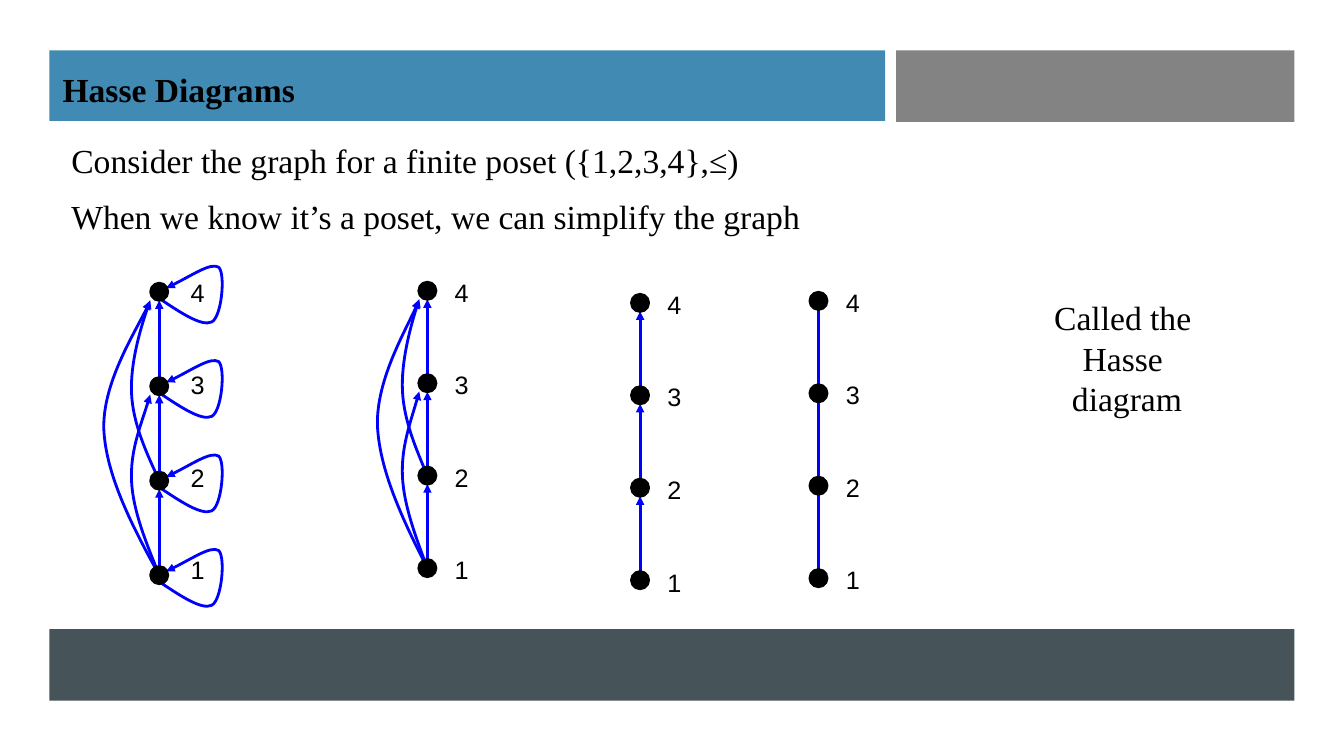
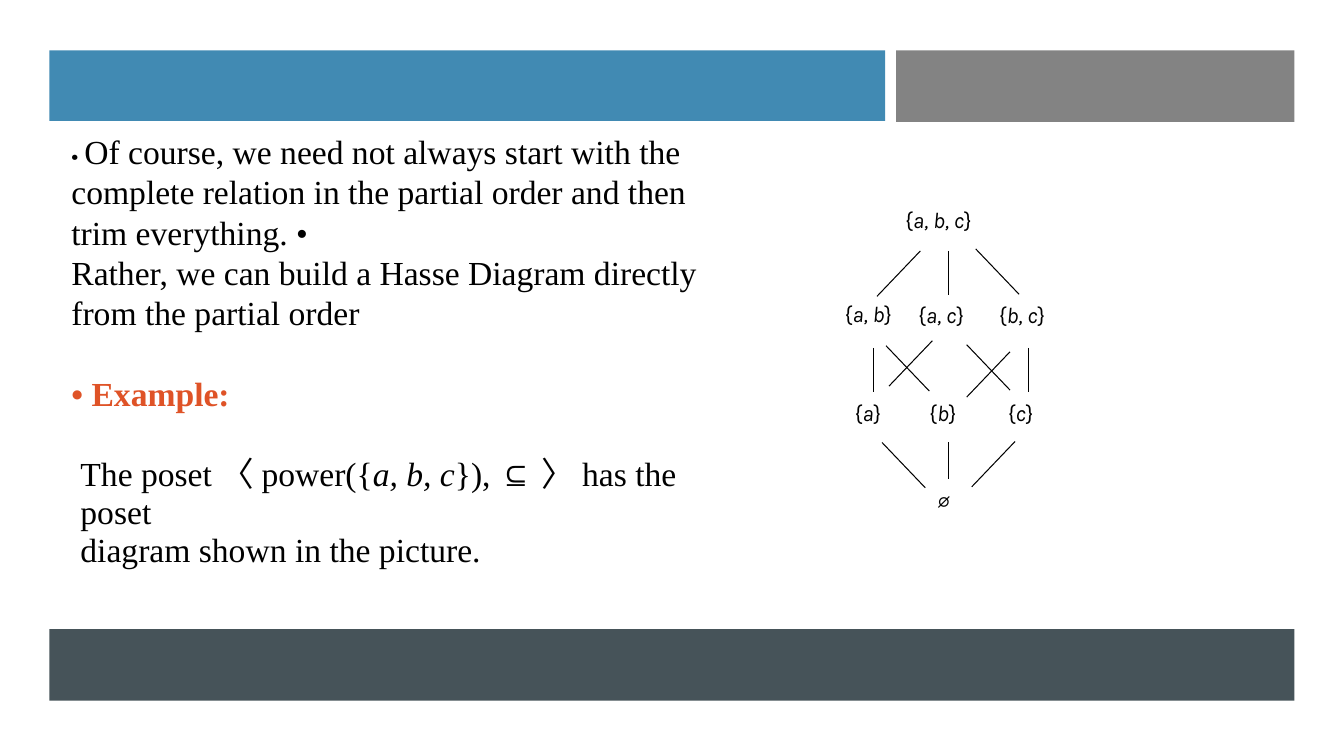
from dataclasses import dataclass
from itertools import pairwise

from lxml.etree import SubElement
from pptx import Presentation
from pptx.dml.color import RGBColor
from pptx.enum.shapes import MSO_CONNECTOR, MSO_SHAPE
from pptx.enum.text import MSO_ANCHOR, PP_ALIGN
from pptx.oxml.ns import qn
from pptx.util import Inches, Pt

COLUMNS, ROWS = 133.33, 75
CELL = Inches(0.1)
TITLE_ONLY, BLANK = 5, 6
SERIF, SANS, LABEL = "Times New Roman", "Arial", "Karla"
COLORS = {
    "blue_band": "418AB3",
    "gray_band": "838383",
    "footer": "465359",
    "ink": "000000",
    "edge": "0000FF",
    "accent": "DF5327",
}


@dataclass(frozen=True)
class Area:
    column: float
    row: float
    width: float
    height: float

    def emu(self) -> tuple[int, ...]:
        return tuple(cells(n) for n in (self.column, self.row, self.width, self.height))


@dataclass(frozen=True)
class Span:
    text: str
    size: float = 24
    font: str = SERIF
    color: str = "ink"
    bold: bool = False
    italic: bool = False


@dataclass(frozen=True)
class Curve:
    starts: tuple[int, ...]
    points: tuple[tuple[float, float], ...]


@dataclass(frozen=True)
class Graph:
    column: float
    top: float
    step: float
    label_shift: float
    label_top: float
    curves: tuple[Curve, ...] = ()
    spread: float = 1
    arrows: bool = True


@dataclass(frozen=True)
class Subset:
    members: str
    column: float
    row: float


BANDS = (
    (Area(4.9, 5, 82.9, 7), "blue_band"),
    (Area(88.9, 5, 39.5, 7.1), "gray_band"),
    (Area(4.9, 62.4, 123.5, 7.1), "footer"),
)

LOOPS = Curve((0, 1, 2, 3), (
    (0, -0.07), (2.1, -0.22), (4.2, -0.37), (5.2, -0.32), (6.2, -0.27),
    (6.6, 0.19), (5.9, 0.26), (5.1, 0.31), (3.1, 0.16), (0.7, 0.04)))
SKIPS = (
    Curve((0,), ((0, 0), (-1.3, 0.34), (-2.6, 0.68), (-2.75, 0.99),
                 (-2.9, 1.31), (-1.7, 1.62), (-0.9, 1.91))),
    Curve((1,), ((0, 0), (-1.3, 0.3), (-2.6, 0.6), (-2.75, 0.92),
                 (-2.9, 1.23), (-1.7, 1.68), (-0.9, 1.91))),
    Curve((0,), ((0, 0), (-2.7, 0.52), (-5.3, 1.06), (-5.5, 1.55),
                 (-5.6, 2.03), (-2, 2.64), (-0.9, 2.9))),
)
GRAPHS = (
    Graph(15.8, 28.95, 9.37, 3.8, 25.5, SKIPS + (LOOPS,)),
    Graph(42.4, 28.85, 9.17, 3.4, 25.5, SKIPS, spread=0.9),
    Graph(63.5, 30.05, 9.17, 3.4, 26.7),
    Graph(81.2, 29.85, 9.17, 3.4, 26.5, arrows=False),
)
NODE_SIZE = 1.7

SUBSETS = (
    Subset("a, b, c", 88.8, 20),
    Subset("a, b", 82.8, 29.3),
    Subset("a, c", 90.1, 29.4),
    Subset("b, c", 98.1, 29.4),
    Subset("a", 83.8, 39.1),
    Subset("b", 91.2, 39.1),
    Subset("c", 99, 39.1),
)
STROKES = {
    (-4.3, 4.5): ((91.3, 24.9), (92.5, 33.8), (100.2, 34.9), (100.7, 43.8)),
    (4.3, 4.5): ((96.8, 24.7), (87.9, 34.3), (95.9, 34.2), (87.5, 43.9)),
    (0, 4.4): ((94.1, 24.9), (86.7, 34.5), (102, 34.5)),
    (0, 3.6): ((94.1, 43.9),),
}


def cells(count: float) -> int:
    return round(count * CELL)


def rgb(name: str) -> RGBColor:
    return RGBColor.from_string(COLORS[name])


def add_span(para, span: Span) -> None:
    run = para.add_run()
    run.text = span.text
    font = run.font
    font.name, font.size = span.font, Pt(span.size)
    font.bold, font.italic = span.bold, span.italic
    font.color.rgb = rgb(span.color)


def add_text(shapes, area: Area, paragraphs, align=PP_ALIGN.LEFT, wrap=True,
             spacing: float = 1, before: float = 0, after: float = 0):
    box = shapes.add_textbox(*area.emu())
    frame = box.text_frame
    frame.word_wrap = wrap
    for index, spans in enumerate(paragraphs):
        para = frame.add_paragraph() if index else frame.paragraphs[0]
        para.alignment = align
        para.line_spacing = spacing
        para.space_before = Pt(before if index else 0)
        para.space_after = Pt(after)
        for span in spans:
            add_span(para, span)
    return box


def add_filled(shapes, kind, area: Area, color: str):
    shape = shapes.add_shape(kind, *area.emu())
    shape.shadow.inherit = False
    shape.fill.solid()
    shape.fill.fore_color.rgb = rgb(color)
    shape.line.fill.background()
    return shape


def style_line(shape, color: str, width: float, arrow: bool = False) -> None:
    shape.line.color.rgb = rgb(color)
    shape.line.width = Pt(width)
    if arrow:
        SubElement(shape.line._get_or_add_ln(), qn("a:tailEnd"), type="triangle")


def add_line(shapes, start, end, color: str, width: float, arrow: bool = False) -> None:
    line = shapes.add_connector(
        MSO_CONNECTOR.STRAIGHT, *(cells(n) for n in (*start, *end)))
    style_line(line, color, width, arrow)
    SubElement(line._element.spPr, qn("a:effectLst"))


def add_curve(shapes, points) -> None:
    start, *rest = [(cells(column), cells(row)) for column, row in points]
    builder = shapes.build_freeform(*start)
    builder.add_line_segments(rest, close=False)
    shape = builder.convert_to_shape()
    outline = shape._element.find(".//" + qn("a:path"))
    segments = outline.findall(qn("a:lnTo"))
    for first in range(0, len(segments), 3):
        bezier = SubElement(outline, qn("a:cubicBezTo"))
        for segment in segments[first:first + 3]:
            bezier.append(segment[0])
            outline.remove(segment)
    shape.fill.background()
    style_line(shape, "edge", 2, arrow=True)
    shape.shadow.inherit = False


def add_graph(page, graph: Graph) -> None:
    shapes = page.shapes.add_group_shape().shapes
    centers = [graph.top + graph.step * (3 - level) for level in range(4)]
    for lower, upper in pairwise(centers):
        add_line(shapes, (graph.column, lower),
                 (graph.column, upper + NODE_SIZE / 2), "edge", 2, graph.arrows)
    for curve in graph.curves:
        for level in curve.starts:
            add_curve(shapes, [
                (graph.column + across * graph.spread, centers[level] - up * graph.step)
                for across, up in curve.points])
    for center in centers:
        node = add_filled(shapes, MSO_SHAPE.OVAL, Area(
            graph.column - NODE_SIZE / 2, center - NODE_SIZE / 2,
            NODE_SIZE, NODE_SIZE), "ink")
        style_line(node, "ink", 2)
    add_text(shapes, Area(graph.column + graph.label_shift - 1.9, graph.label_top, 3.8, 33),
             [[Span(digit, 18, SANS)] for digit in "4321"],
             PP_ALIGN.CENTER, spacing=1.5, before=33.7)


def add_page(deck, layout: int):
    page = deck.slides.add_slide(deck.slide_layouts[layout])
    for area, color in BANDS:
        band = add_filled(page.shapes, MSO_SHAPE.RECTANGLE, area, color)
        page.shapes._spTree.insert(2 + BANDS.index((area, color)), band._element)
    return page


def set_title(page, text: str) -> None:
    title = page.shapes.title
    title.left, title.top, title.width, title.height = Area(5.2, 6.3, 123.9, 5).emu()
    title.text_frame.vertical_anchor = MSO_ANCHOR.TOP
    para = title.text_frame.paragraphs[0]
    para.alignment = PP_ALIGN.LEFT
    add_span(para, Span(text, bold=True))


def build_graphs_page(deck) -> None:
    page = add_page(deck, TITLE_ONLY)
    set_title(page, "Hasse Diagrams")
    add_text(page.shapes, Area(6.1, 13.4, 90, 11.5), [
        [Span("Consider the graph for a finite poset ({1,2,3,4},≤)")],
        [Span("When we know it’s a poset, we can simplify the graph")],
    ], before=4.8, after=6)
    for graph in GRAPHS:
        add_graph(page, graph)
    add_text(page.shapes, Area(94.2, 29, 35.2, 13.1),
             [[Span(line)] for line in ("Called the ", "Hasse ", "diagram")],
             PP_ALIGN.CENTER)


def build_power_set_page(deck) -> None:
    page = add_page(deck, BLANK)
    box = add_text(page.shapes, Area(6.1, 12.5, 68.5, 29.3), [
        [Span("• ", 18, LABEL),
         Span("Of course, we need not always start with the complete relation "
              "in the partial order and then trim everything. •")],
        [Span("Rather, we can build a Hasse Diagram directly from the partial order")],
        [Span("• Example:", color="accent", bold=True)],
    ])
    box.text_frame.paragraphs[-1].space_before = Pt(28.7)
    add_text(page.shapes, Area(7, 44.7, 66.7, 8.7), [
        [Span("The poset 〈 power({"), Span("a, b, c", italic=True),
         Span("}), ⊆ 〉 has the poset")],
        [Span("diagram shown in the picture.")],
    ], spacing=0.95)
    shapes = page.shapes.add_group_shape().shapes
    for (across, down), starts in STROKES.items():
        for column, row in starts:
            add_line(shapes, (column, row), (column + across, row + down), "ink", 0.75)
    for subset in SUBSETS:
        width = 4.6 + len(subset.members) * 0.9
        add_text(shapes, Area(subset.column, subset.row, width, 5.2), [
            [Span("{", 16, LABEL), Span(subset.members, 16, LABEL, italic=True),
             Span("}", 16, LABEL)]], wrap=False)
    add_text(shapes, Area(91.9, 47.6, 4.5, 5.6), [[Span("∅", 18, LABEL)]], wrap=False)


def main() -> None:
    deck = Presentation()
    deck.slide_width, deck.slide_height = cells(COLUMNS), cells(ROWS)
    build_graphs_page(deck)
    build_power_set_page(deck)
    deck.save("out.pptx")


if __name__ == "__main__":
    main()
